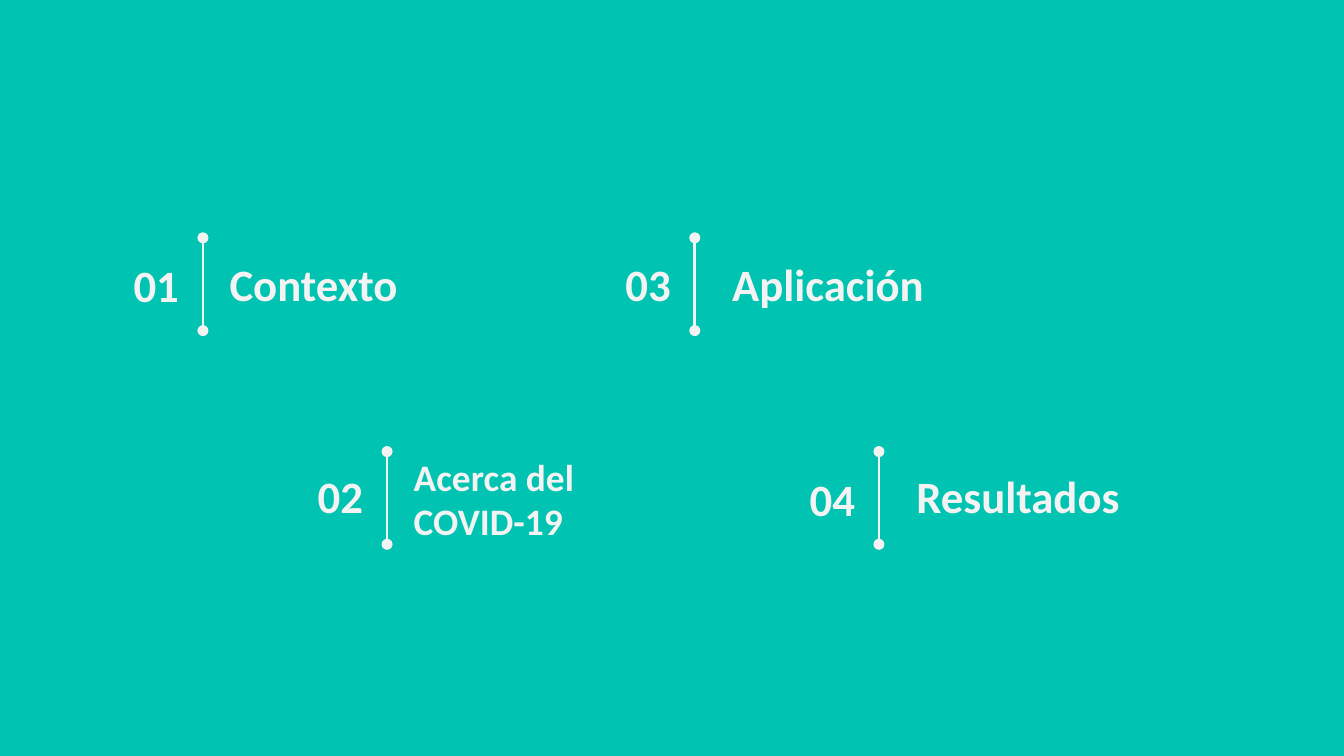
from dataclasses import dataclass

from lxml import etree
from pptx import Presentation
from pptx.dml.color import RGBColor
from pptx.enum import shapes, text
from pptx.oxml import ns
from pptx.util import Inches, Pt


@dataclass(frozen=True)
class Theme:
    background: RGBColor = RGBColor(0x00, 0xC3, 0xB1)
    light: RGBColor = RGBColor(0xF3, 0xF3, 0xF3)
    font: str = "Calibri"
    size: int = 24
    small: int = 20
    line: float = 1.5


THEME = Theme()
LABEL_H = 0.46
DIVIDER_H = 0.69

# left, top, number, title, title size, title x, title y, number y
ENTRIES = [
    (0.77, 1.77, "01", "Contexto", THEME.size, 0.84, 0.11, 0.12),
    (2.14, 3.36, "02", "Acerca del COVID-19", THEME.small, 0.84, 0.12, 0.10),
    (4.43, 1.77, "03", "Aplicación", THEME.size, 0.92, 0.11, 0.11),
    (5.80, 3.36, "04", "Resultados", THEME.size, 0.92, 0.10, 0.12),
]


def add_label(s, left, top, width, words, size, align, right_inset=0.1):
    box = s.shapes.add_textbox(Inches(left), Inches(top), Inches(width), Inches(LABEL_H))
    tf = box.text_frame
    tf.word_wrap = True
    tf.vertical_anchor = text.MSO_ANCHOR.MIDDLE
    tf.margin_left = tf.margin_top = tf.margin_bottom = Inches(0.1)
    tf.margin_right = Inches(right_inset)
    p = tf.paragraphs[0]
    p.alignment = align
    r = p.add_run()
    r.text = words
    r.font.name = THEME.font
    r.font.size = Pt(size)
    r.font.bold = True
    r.font.color.rgb = THEME.light


def add_divider(s, x, top):
    """Vertical line with a dot at each end."""
    line = s.shapes.add_connector(
        shapes.MSO_CONNECTOR.STRAIGHT,
        Inches(x), Inches(top), Inches(x), Inches(top + DIVIDER_H))
    line.line.color.rgb = THEME.light
    line.line.width = Pt(THEME.line)
    ln = line.line._get_or_add_ln()
    for end in ("a:headEnd", "a:tailEnd"):
        etree.SubElement(ln, ns.qn(end), type="oval")
    etree.SubElement(line._element.spPr, ns.qn("a:effectLst"))


def add_entry(s, left, top, number, title, size, title_x, title_y, number_y):
    add_label(s, left + title_x, top + title_y, 2.56, title, size,
              text.PP_ALIGN.LEFT, right_inset=0.2)
    add_label(s, left, top + number_y, 0.66, number, THEME.size, text.PP_ALIGN.RIGHT)
    add_divider(s, left + 0.74, top)


def main():
    prs = Presentation()
    prs.slide_width = Inches(10)
    prs.slide_height = prs.slide_width * 9 // 16
    s = prs.slides.add_slide(prs.slide_layouts[6])
    s.background.fill.solid()
    s.background.fill.fore_color.rgb = THEME.background
    for entry in ENTRIES:
        add_entry(s, *entry)
    prs.save("out.pptx")


if __name__ == "__main__":
    main()
